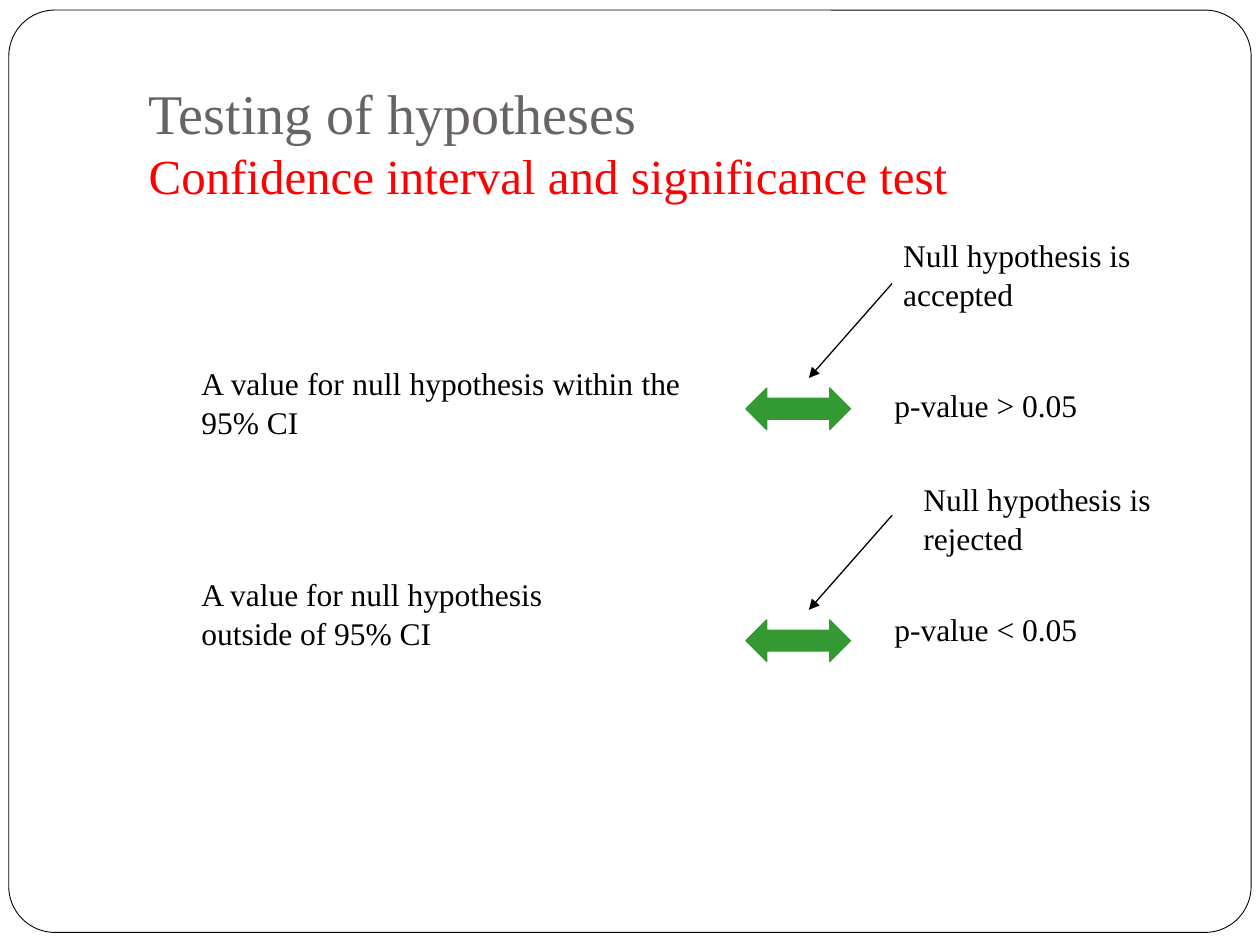
"""Build a slide relating confidence intervals to significance tests."""
from lxml import etree
from pptx import Presentation
from pptx.dml.color import RGBColor
from pptx.enum import shapes, text
from pptx.oxml import ns
from pptx.util import Inches, Pt

BLACK = RGBColor(0x00, 0x00, 0x00)
WHITE = RGBColor(0xFF, 0xFF, 0xFF)
GRAY = RGBColor(0x69, 0x64, 0x64)
RED = RGBColor(0xFF, 0x00, 0x00)
GREEN = RGBColor(0x33, 0x99, 0x33)


def add_text(paragraph, words, size=18, color=BLACK, font="Times New Roman"):
    run = paragraph.add_run()
    run.text = words
    run.font.name = font
    run.font.size = Pt(size)
    run.font.color.rgb = color


class SlideBuilder:
    def __init__(self, slide):
        self.slide = slide

    def frame(self, left, top, width, height):
        frame = self.shape(shapes.MSO_SHAPE.ROUNDED_RECTANGLE, left, top, width, height,
                           fill=WHITE, line=BLACK, line_width=0.5)
        frame.adjustments[0] = 0.05
        self.slide.shapes.title.element.addprevious(frame.element)

    def title(self, heading, subtitle):
        title = self.slide.shapes.title
        title.left, title.top = Inches(1.08), Inches(0.5)
        title.width, title.height = Inches(8.5), Inches(1.25)
        title.text_frame.vertical_anchor = text.MSO_ANCHOR.MIDDLE
        paragraph = title.text_frame.paragraphs[0]
        paragraph.alignment = text.PP_ALIGN.LEFT
        add_text(paragraph, heading, size=32, color=GRAY)
        paragraph.add_line_break()
        add_text(paragraph, subtitle, size=28, color=RED)

    def label(self, words, left, top, width, height, align=text.PP_ALIGN.LEFT):
        box = self.slide.shapes.add_textbox(
            Inches(left), Inches(top), Inches(width), Inches(height))
        box.text_frame.word_wrap = True
        paragraph = box.text_frame.paragraphs[0]
        paragraph.alignment = align
        paragraph.line_spacing = 1.04
        add_text(paragraph, words)

    def shape(self, kind, left, top, width, height, fill, line, line_width=0.75):
        shape = self.slide.shapes.add_shape(
            kind, Inches(left), Inches(top), Inches(width), Inches(height))
        shape.shadow.inherit = False
        shape.fill.solid()
        shape.fill.fore_color.rgb = fill
        shape.line.color.rgb = line
        shape.line.width = Pt(line_width)
        return shape

    def double_arrow(self, left, top):
        self.shape(shapes.MSO_SHAPE.LEFT_RIGHT_ARROW, left, top, 0.83, 0.33,
                   fill=GREEN, line=GREEN)

    def pointer(self, start_x, start_y, end_x, end_y):
        pointer = self.slide.shapes.add_connector(
            shapes.MSO_CONNECTOR.STRAIGHT, Inches(start_x), Inches(start_y),
            Inches(end_x), Inches(end_y))
        pointer.line.color.rgb = BLACK
        pointer.line.width = Pt(0.75)
        line = pointer.line._get_or_add_ln()
        etree.SubElement(line, ns.qn("a:tailEnd"), type="triangle")
        etree.SubElement(pointer.element.spPr, ns.qn("a:effectLst"))


def main():
    presentation = Presentation()
    presentation.slide_width, presentation.slide_height = Inches(10), Inches(7.5)
    slide = presentation.slides.add_slide(presentation.slide_layouts[5])
    builder = SlideBuilder(slide)
    builder.frame(0.07, 0.08, 9.86, 7.32)
    builder.title("Testing of hypotheses", "Confidence interval and significance test")

    justify = text.PP_ALIGN.JUSTIFY
    builder.label("A value for null hypothesis within the 95% CI", 1.5, 2.83, 4, 0.83, justify)
    builder.label("A value for null hypothesis outside of 95% CI", 1.5, 4.5, 3.67, 0.83)

    outcomes = [
        (3.08, "p-value > 0.05", 3, "Null hypothesis is accepted", 7.07, 1.81),
        (4.92, "p-value < 0.05", 4.78, "Null hypothesis is rejected", 7.23, 3.75),
    ]
    for arrow_top, p_value, p_value_top, verdict, verdict_left, verdict_top in outcomes:
        builder.double_arrow(5.92, arrow_top)
        builder.label(p_value, 7, p_value_top, 2, 0.47, justify)
        builder.pointer(7.08, arrow_top - 0.83, 6.42, arrow_top - 0.08)
        builder.label(verdict, verdict_left, verdict_top, 2.27, 0.83)

    presentation.save("out.pptx")


if __name__ == "__main__":
    main()
